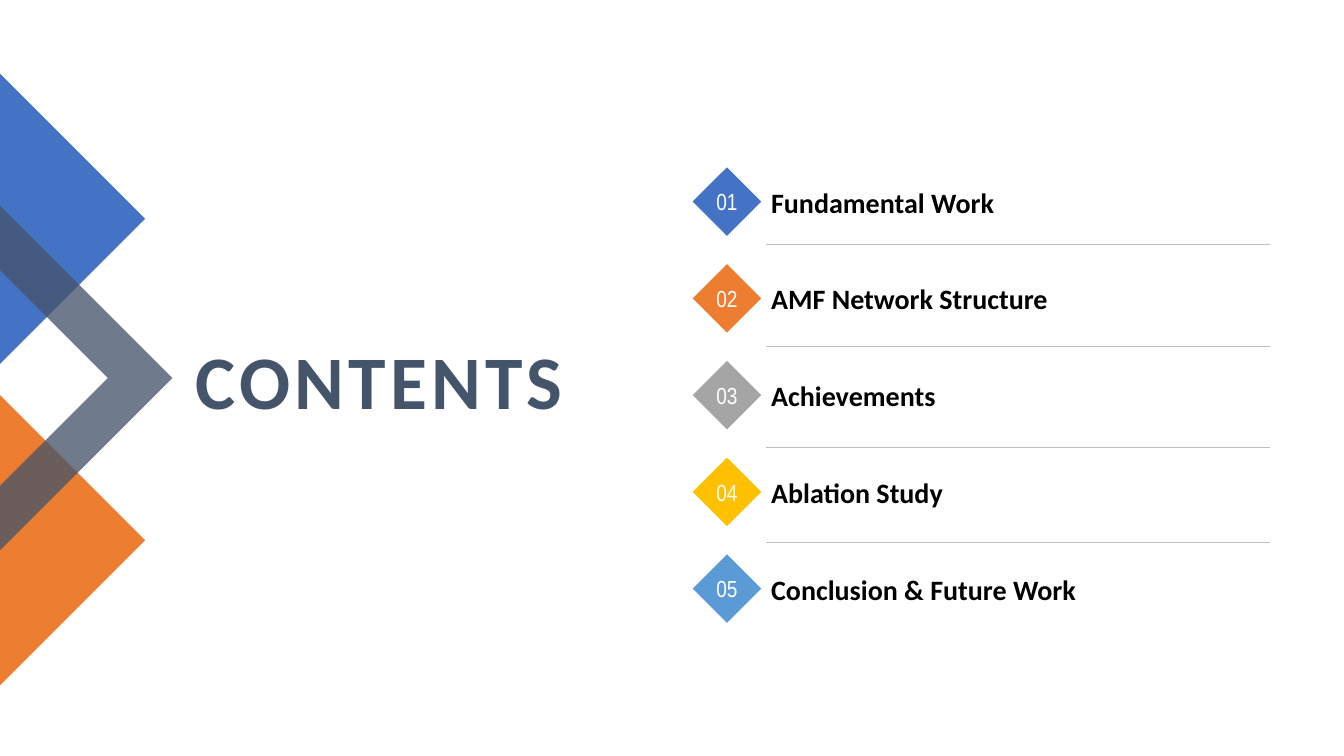
"""Build a contents slide with five numbered topics."""
from lxml.etree import SubElement
from pptx import Presentation
from pptx.dml.color import RGBColor
from pptx.enum.shapes import MSO_CONNECTOR as Line, MSO_SHAPE as Shape
from pptx.enum.text import MSO_ANCHOR as Anchor, PP_ALIGN as Align
from pptx.oxml.ns import qn
from pptx.util import Inches, Pt

BLUE = RGBColor(0x44, 0x72, 0xC4)
ORANGE = RGBColor(0xED, 0x7D, 0x31)
GRAY = RGBColor(0xA5, 0xA5, 0xA5)
GOLD = RGBColor(0xFF, 0xC0, 0x00)
SKY = RGBColor(0x5B, 0x9B, 0xD5)
SLATE = RGBColor(0x44, 0x54, 0x6A)
RULE = RGBColor(0xBF, 0xBF, 0xBF)
WHITE = RGBColor(0xFF, 0xFF, 0xFF)
BLACK = RGBColor(0x00, 0x00, 0x00)

TOPICS = [
    ("Fundamental Work", BLUE),
    ("AMF Network Structure", ORANGE),
    ("Achievements", GRAY),
    ("Ablation Study", GOLD),
    ("Conclusion & Future Work", SKY),
]
RULES = [2.42, 3.43, 4.44, 5.38]
TOP, STEP, SIDE = 1.66, 0.96, 0.68


def paint(shape, color):
    """Give a shape a flat fill without outline or shadow."""
    shape.shadow.inherit = False
    shape.fill.solid()
    shape.fill.fore_color.rgb = color
    shape.line.fill.background()


def add_poly(slide, points, color, alpha=None):
    """Draw a closed outline, see-through if alpha is given in percent."""
    spots = [(Inches(x), Inches(y)) for x, y in points]
    form = slide.shapes.build_freeform(*spots[0])
    form.add_line_segments(spots[1:], close=True)
    poly = form.convert_to_shape()
    paint(poly, color)
    if alpha:
        tint = poly.fill._xPr.find(f".//{qn('a:srgbClr')}")
        SubElement(tint, qn("a:alpha"), val=str(alpha * 1000))


def write(shape, text, size, font, color, align, anchor, bold=False):
    """Set one line of text and return its run."""
    frame = shape.text_frame
    frame.text = text
    frame.word_wrap = False
    frame.vertical_anchor = anchor
    line = frame.paragraphs[0]
    line.alignment = align
    run = line.runs[0]
    run.font.size = Pt(size)
    run.font.name = font
    run.font.bold = bold
    run.font.color.rgb = color
    return run


def add_title(slide):
    """Add the widely spaced heading."""
    box = slide.shapes.add_textbox(Inches(1.69), Inches(3.26), Inches(4.09), Inches(1.01))
    run = write(box, "CONTENTS", 54, "Calibri", SLATE, Align.RIGHT, Anchor.MIDDLE, True)
    run.font._element.set("spc", "300")
    box.text_frame.word_wrap = True
    box.text_frame.margin_right = Inches(0.2)


def add_topic(slide, index, label, color):
    """Add a numbered diamond with its label."""
    top = TOP + index * STEP
    gem = slide.shapes.add_shape(
        Shape.DIAMOND, Inches(6.87), Inches(top), Inches(SIDE), Inches(SIDE))
    paint(gem, color)
    write(gem, f"{index + 1:02}", 16.6, "Arial Narrow", WHITE, Align.CENTER, Anchor.MIDDLE)
    box = slide.shapes.add_textbox(Inches(7.55), Inches(top + 0.23), Inches(4.33), Inches(0.33))
    write(box, label, 20, "Calibri", BLACK, Align.LEFT, Anchor.BOTTOM, True)


def add_rule(slide, y):
    """Add a thin line between topics."""
    rule = slide.shapes.add_connector(
        Line.STRAIGHT, Inches(7.6), Inches(y), Inches(12.6), Inches(y))
    rule.line.color.rgb = RULE
    rule.line.width = Pt(0.25)
    SubElement(rule._element.spPr, qn("a:effectLst"))


def main():
    """Build and save the slide."""
    deck = Presentation()
    deck.slide_width, deck.slide_height = Inches(13.33), Inches(7.5)
    slide = deck.slides.add_slide(deck.slide_layouts[6])
    for top, color in [(3.92, ORANGE), (0.73, BLUE)]:
        add_poly(slide, [(0, top), (1.44, top + 1.44), (0, top + 2.88)], color)
    chevron = [(1.71, 3.75), (0, 5.46), (0, 4.82), (1.07, 3.75), (0, 2.68), (0, 2.04)]
    add_poly(slide, chevron, SLATE, 77)
    add_title(slide)
    for index, (label, color) in enumerate(TOPICS):
        add_topic(slide, index, label, color)
    for y in RULES:
        add_rule(slide, y)
    deck.save("out.pptx")


if __name__ == "__main__":
    main()
